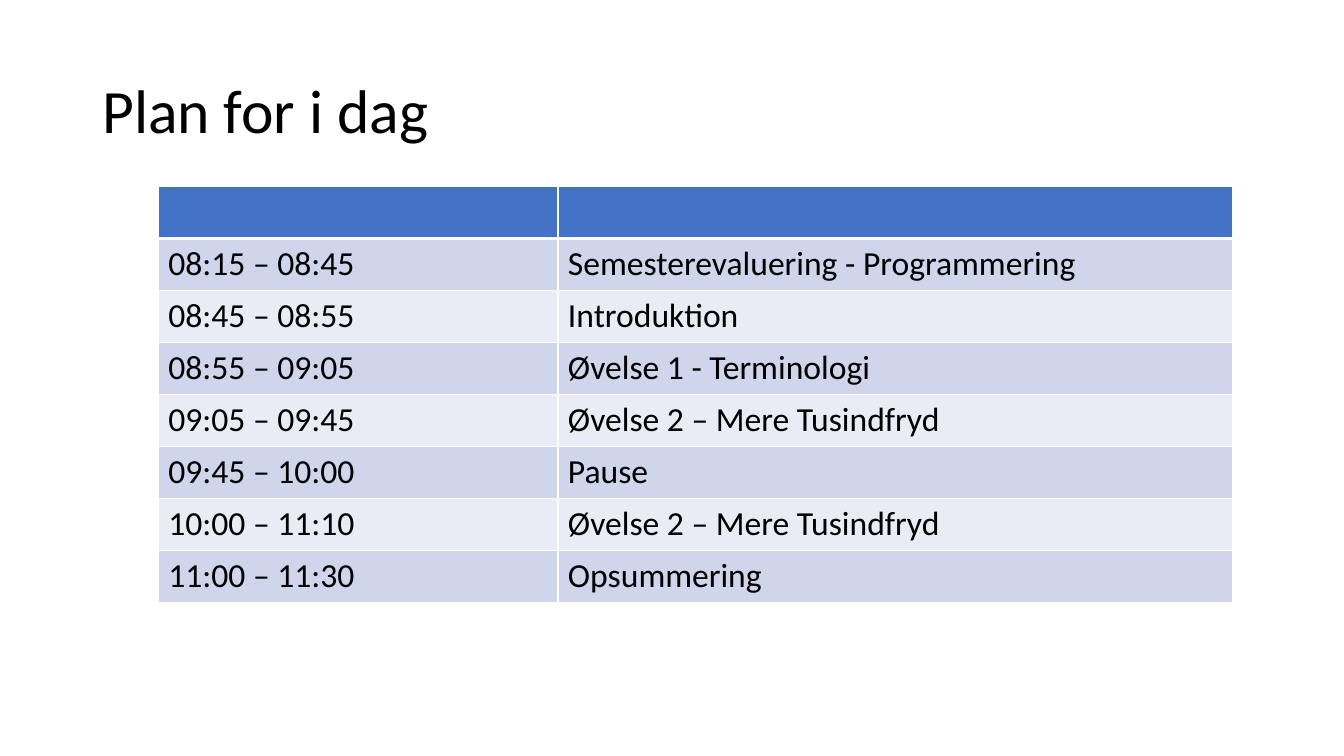
from lxml import etree
from pptx import Presentation
from pptx import util as u
from pptx.dml.color import RGBColor
from pptx.enum import text
from pptx.oxml import ns

BLACK = RGBColor(0x00, 0x00, 0x00)
WHITE = RGBColor(0xFF, 0xFF, 0xFF)
HEADER_BLUE = RGBColor(0x44, 0x72, 0xC4)
BAND_DARK = RGBColor(0xCF, 0xD5, 0xEA)
BAND_LIGHT = RGBColor(0xE9, 0xEB, 0xF5)

TITLE_FORMAT = {"name": "Calibri", "size": u.Pt(44), "bold": False}
CELL_FORMAT = {"name": "Calibri", "size": u.Pt(24), "bold": False}

COLUMN_WIDTHS = (u.Cm(10.07), u.Cm(17))
ROW_HEIGHT = u.Cm(1.31)
SCHEDULE = [
    ("", ""),
    ("08:15 – 08:45", "Semesterevaluering - Programmering"),
    ("08:45 – 08:55", "Introduktion"),
    ("08:55 – 09:05", "Øvelse 1 - Terminologi"),
    ("09:05 – 09:45", "Øvelse 2 – Mere Tusindfryd"),
    ("09:45 – 10:00", "Pause"),
    ("10:00 – 11:10", "Øvelse 2 – Mere Tusindfryd"),
    ("11:00 – 11:30", "Opsummering"),
]


def write(para, words, font_format):
    """Put one formatted span into a paragraph."""
    span = para.add_run()
    span.text = words
    for name, value in font_format.items():
        setattr(span.font, name, value)
    span.font.color.rgb = BLACK


def add_title(page, words):
    box = page.shapes.add_textbox(u.Cm(2.33), u.Cm(1.01), u.Cm(29.21), u.Cm(3.68))
    frame = box.text_frame
    frame.word_wrap = True
    frame.vertical_anchor = text.MSO_ANCHOR.MIDDLE
    para = frame.paragraphs[0]
    para.line_spacing = 0.9
    write(para, words, TITLE_FORMAT)


def set_borders(cell, widths):
    """Draw white borders; widths maps each side to its points."""
    properties = cell._tc.get_or_add_tcPr()
    for side, points in widths.items():
        line = etree.SubElement(properties, ns.qn(f"a:ln{side}"), w=str(u.Pt(points)))
        fill = etree.SubElement(line, ns.qn("a:solidFill"))
        etree.SubElement(fill, ns.qn("a:srgbClr"), val=str(WHITE))


def add_schedule(page, entries):
    frame = page.shapes.add_table(
        len(entries), len(COLUMN_WIDTHS), u.Cm(3.99), u.Cm(4.7),
        sum(COLUMN_WIDTHS), ROW_HEIGHT * len(entries))
    table = frame.table
    for column, width in zip(table.columns, COLUMN_WIDTHS):
        column.width = width

    for row, entry in enumerate(entries):
        table.rows[row].height = ROW_HEIGHT
        # Header first, then alternating bands
        color = HEADER_BLUE if row == 0 else BAND_DARK if row % 2 else BAND_LIGHT
        for column, words in enumerate(entry):
            cell = table.cell(row, column)
            # A thick line divides the header from the bands
            set_borders(cell, {"L": 1, "R": 1, "T": 3 if row == 1 else 1,
                               "B": 3 if row == 0 else 1})
            cell.fill.solid()
            cell.fill.fore_color.rgb = color
            if words:
                write(cell.text_frame.paragraphs[0], words, CELL_FORMAT)


def main():
    deck = Presentation()
    deck.slide_width, deck.slide_height = u.Cm(33.87), u.Cm(19.05)
    page = deck.slides.add_slide(deck.slide_layouts[6])
    add_title(page, "Plan for i dag")
    add_schedule(page, SCHEDULE)
    deck.save("out.pptx")


if __name__ == "__main__":
    main()
